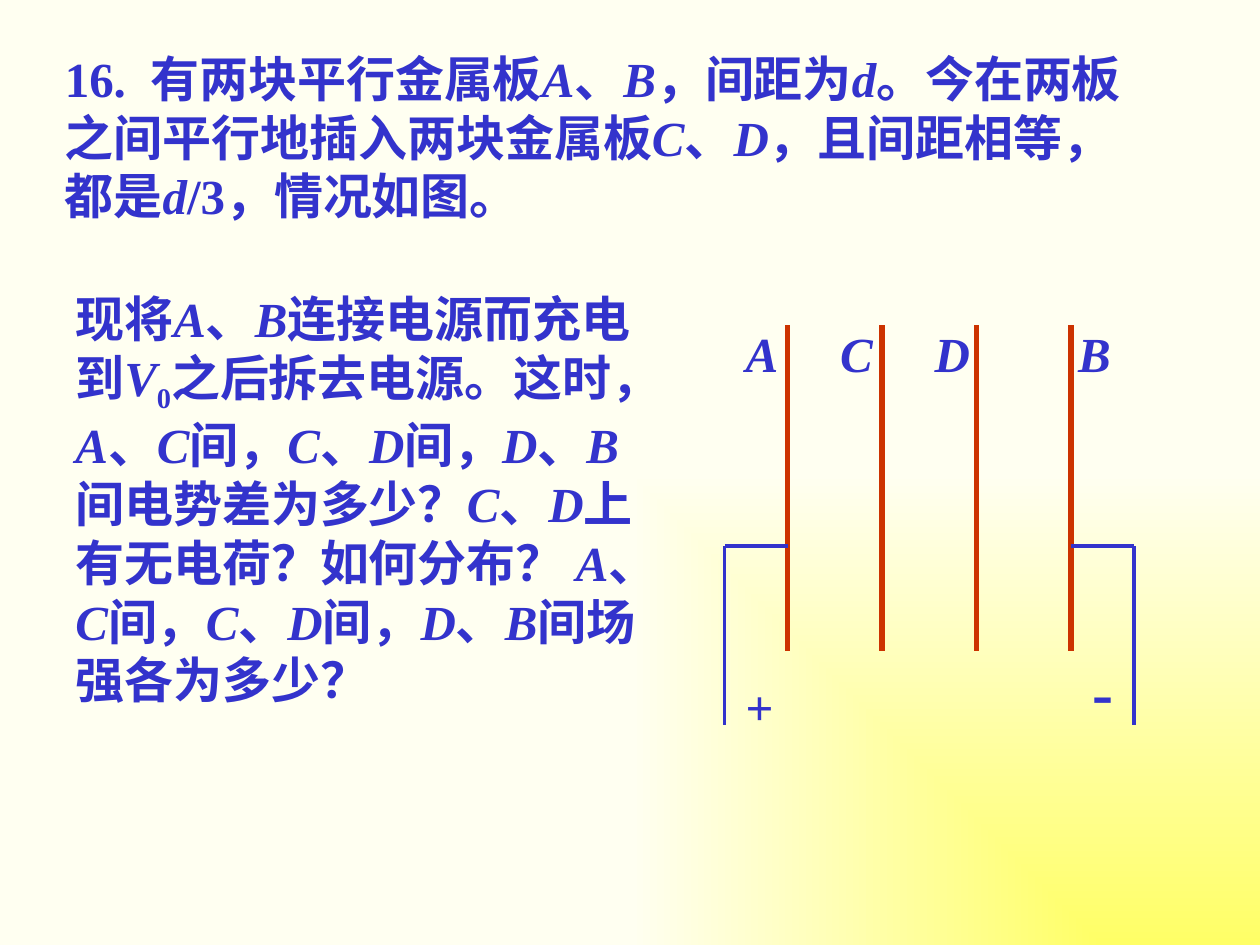
from dataclasses import dataclass
from itertools import groupby

from lxml.etree import SubElement as Sub
from pptx import Presentation as Deck
from pptx.dml.color import RGBColor as Rgb
from pptx.enum.shapes import MSO_CONNECTOR as Link
from pptx.enum.text import MSO_AUTO_SIZE as Fit
from pptx.oxml.ns import qn
from pptx.util import Pt


@dataclass(frozen=True)
class Theme:
    ink: str = "3333CC"
    plate: str = "CC3300"
    glow: str = "FFFF66"
    paper: str = "FFFFF1"
    font: str = "Times New Roman"
    body: int = 28
    sign: int = 36
    thick: float = 3
    thin: float = 2.25


def kind(char):
    if char == "0":
        return "sub"
    return "slant" if char.isascii() and char.isalpha() else "plain"


class Page:
    """Draw styled parts on one slide."""

    def __init__(self, deck, theme):
        self.theme = theme
        self.slide = deck.slides.add_slide(deck.slide_layouts[6])
        self.shapes = self.slide.shapes

    def ground(self):
        fill = self.slide.background.fill
        fill.gradient()
        for stop, tone in zip(fill.gradient_stops, (self.theme.glow, self.theme.paper)):
            stop.color.rgb = Rgb.from_string(tone)
        grad = self.slide.element.find(".//" + qn("a:gradFill"))
        grad.remove(grad.find(qn("a:lin")))
        shade = Sub(grad, qn("a:path"), {"path": "rect"})
        Sub(shade, qn("a:fillToRect"), {"l": "100000", "t": "100000"})

    def text(self, words, left, top, width, height, size=None, wrap=False):
        box = self.shapes.add_textbox(Pt(left), Pt(top), Pt(width), Pt(height))
        frame = box.text_frame
        frame.word_wrap = wrap
        frame.auto_size = Fit.SHAPE_TO_FIT_TEXT
        for style, chars in groupby(words, kind):
            run = frame.paragraphs[0].add_run()
            run.text = "".join(chars)
            font = run.font
            font.name = self.theme.font
            font.size = Pt(size or self.theme.body)
            font.bold = True
            font.italic = style == "slant"
            font.color.rgb = Rgb.from_string(self.theme.ink)
            if style == "sub":
                font._element.set("baseline", "-25000")

    def line(self, start, end, tone, width):
        line = self.shapes.add_connector(Link.STRAIGHT, *map(Pt, start + end))
        line.line.color.rgb = Rgb.from_string(tone)
        line.line.width = Pt(width)
        Sub(line._element.spPr, qn("a:effectLst"))

    def plates(self):
        theme = self.theme
        whole = self.shapes
        self.shapes = whole.add_group_shape().shapes
        first, step, count = 450, 54, 4
        last = first + step * (count - 1)
        for num in range(count):
            x = first + step * num
            self.line((x, 186), (x, 372), theme.plate, theme.thick)
        for x, out in ((first, first - 36), (last, last + 36)):
            self.line((x, 312), (out, 312), theme.ink, theme.thin)
            self.line((out, 312), (out, 414), theme.ink, theme.thin)
        self.text("+", 419, 383, 30, 41)
        self.text("-", 617, 369.5, 26.5, 50.5, theme.sign)
        for num, name in enumerate("ACD"):
            self.text(name, first - 31 + step * num, 181.5, 33.5, 41)
        self.text("B", last - 3, 181.5, 33.5, 41)
        self.shapes = whole


def main():
    deck = Deck()
    deck.slide_width, deck.slide_height = Pt(720), Pt(540)
    page = Page(deck, Theme())
    page.ground()
    page.text(
        "16.  有两块平行金属板A、B，间距为d。今在两板之间平行地插入两块金属板"
        "C、D，且间距相等，都是d/3，情况如图。",
        30, 24, 631.5, 108, wrap=True,
    )
    page.plates()
    page.text(
        "现将A、B连接电源而充电到V0之后拆去电源。这时，A、C间，C、D间，"
        "D、B间电势差为多少？C、D上有无电荷？如何分布？ "
        "A、C间，C、D间，D、B间场强各为多少？",
        36, 161.5, 348, 242.5, wrap=True,
    )
    deck.save("out.pptx")


if __name__ == "__main__":
    main()
